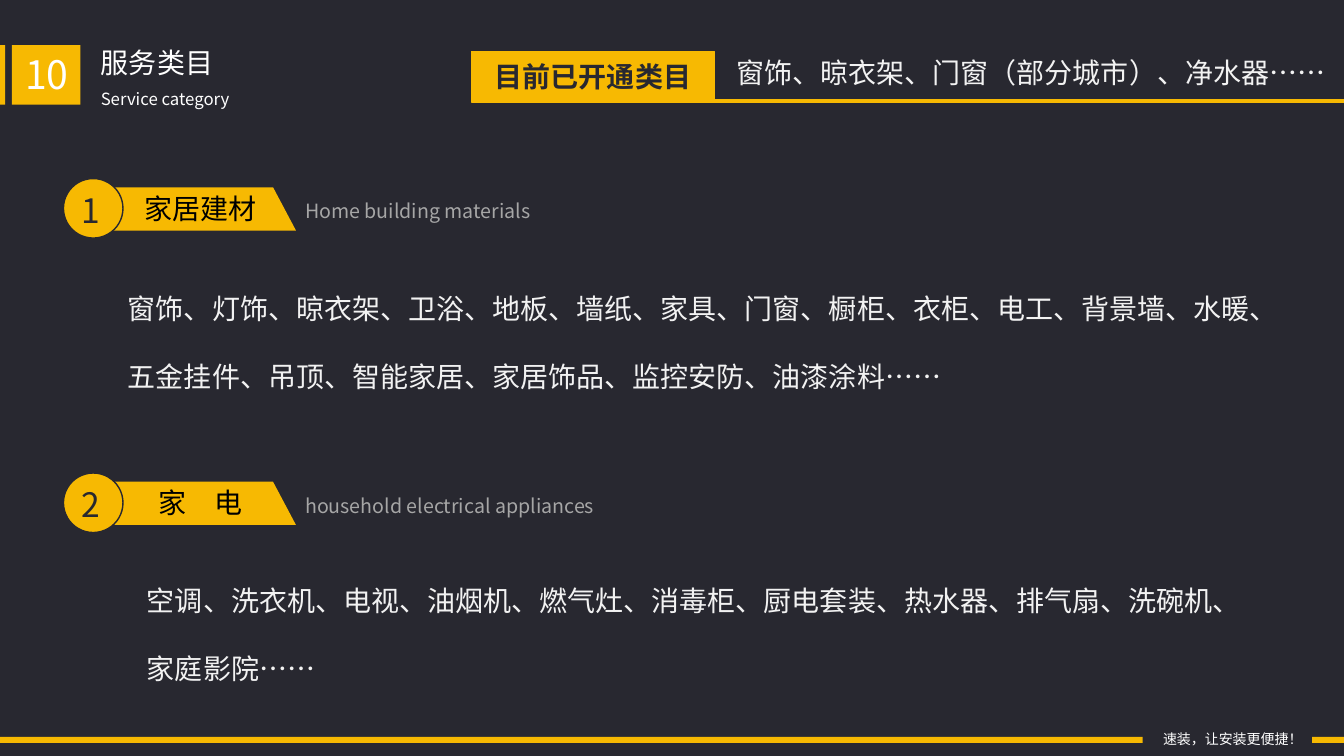
from lxml import etree
from pptx import Presentation
from pptx.dml.color import RGBColor
from pptx.enum.shapes import MSO_CONNECTOR, MSO_SHAPE
from pptx.enum.text import MSO_ANCHOR, MSO_AUTO_SIZE, PP_ALIGN
from pptx.oxml.ns import qn
from pptx.util import Cm, Pt

RECT, OVAL, TRAP = MSO_SHAPE.RECTANGLE, MSO_SHAPE.OVAL, MSO_SHAPE.TRAPEZOID
LINE = MSO_CONNECTOR.STRAIGHT
LEFT, MID, TOP = PP_ALIGN.LEFT, PP_ALIGN.CENTER, MSO_ANCHOR.TOP
FIXED = MSO_AUTO_SIZE.NONE

WIDE, HIGH = 33.87, 19.05
GOLD, DARK, WHITE = "F7B902", "282830", "FFFFFF"
PALE, GREY, BLACK = "F2F2F2", "A6A6A6", "000000"


def color(code):
    return RGBColor.from_string(code)


class Page:
    font = "Noto Sans CJK SC"

    def __init__(self, slide):
        self.slide = slide
        fill = slide.background.fill
        fill.solid()
        fill.fore_color.rgb = color(DARK)

    def label(self, shape, words, size, ink, align=LEFT, bold=False, space=None):
        frame = shape.text_frame
        frame.word_wrap = True
        frame.auto_size = FIXED
        frame.vertical_anchor = TOP
        para = frame.paragraphs[0]
        para.alignment = align
        if space:
            para.line_spacing = space
        run = para.add_run()
        run.text = words
        run.font.size = Pt(size)
        run.font.bold = bold
        run.font.color.rgb = color(ink)
        run.font.name = self.font
        east = etree.SubElement(run.font._element, qn("a:ea"))
        east.set("typeface", self.font)
        return para

    def text(self, box, words, size, ink, **style):
        shape = self.slide.shapes.add_textbox(*map(Cm, box))
        self.label(shape, words, size, ink, **style)

    def place(self, index, box, words, ink, **style):
        """Fill a placeholder with plain, unbulleted text."""
        shape = self.slide.placeholders[index]
        shape.left, shape.top, shape.width, shape.height = map(Cm, box)
        para = self.label(shape, words, 20, ink, **style)
        para.space_before = Pt(0)
        props = para._p.get_or_add_pPr()
        props.set("marL", "0")
        props.set("indent", "0")
        etree.SubElement(props, qn("a:buNone"))

    def shape(self, kind, box, edge=None):
        shape = self.slide.shapes.add_shape(kind, *map(Cm, box))
        shape.shadow.inherit = False
        shape.fill.solid()
        shape.fill.fore_color.rgb = color(GOLD)
        if edge:
            shape.line.color.rgb = color(edge)
            shape.line.width = Pt(1)
        else:
            shape.line.fill.background()
        return shape

    def rule(self, ends, width):
        line = self.slide.shapes.add_connector(LINE, *map(Cm, ends))
        line.line.color.rgb = color(GOLD)
        line.line.width = Pt(width)
        etree.SubElement(line._element.spPr, qn("a:effectLst"))

    def group(self, num, top, name, note, box, words):
        """A numbered ribbon with its list of goods."""
        self.place(num, box, words, PALE, space=2.0)
        band = self.shape(TRAP, (2.13, top + 0.22, 5.33, 1.09))
        band.adjustments[0] = 0.53
        self.text((3.28, top + 0.2, 3.56, 1.12), name, 20, BLACK, align=MID)
        self.shape(OVAL, (1.6, top, 1.5, 1.5), DARK)
        self.text((1.8, top + 0.16, 1.5, 1.27), str(num), 24, DARK)
        self.text((7.44, top + 0.39, 7.98, 0.86), note, 14, GREY)


def main():
    deck = Presentation()
    deck.slide_width, deck.slide_height = Cm(WIDE), Cm(HIGH)
    page = Page(deck.slides.add_slide(deck.slide_layouts[3]))

    # Footer
    for left, width in ((0, 28.8), (33.07, 0.8)):
        page.shape(RECT, (left, 18.57, width, 0.15))
    page.text((29.06, 18.29, 4.06, 0.69), "速装，让安装更便捷！", 10, WHITE)

    # Heading
    page.place(0, (2.29, 1.02, 10.06, 1.12), "服务类目", WHITE)
    page.text((2.29, 2.11, 9, 0.76), "Service category", 12, WHITE)
    for left, width in ((0, 0.13), (0.3, 1.73)):
        page.shape(RECT, (left, 1.14, width, 1.5))
    page.text((0.28, 1.14, 1.8, 1.45), "10", 28, WHITE, align=MID)

    # Open categories
    page.shape(RECT, (11.89, 1.3, 6.12, 1.27), GOLD)
    page.text((18.31, 1.27, 15.56, 1.12),
              "窗饰、晾衣架、门窗（部分城市）、净水器……", 20, PALE)
    page.rule((12.04, 2.54, WIDE, 2.54), 2.5)
    page.text((11.91, 1.37, 6.07, 1.12), "目前已开通类目", 20, DARK,
              align=MID, bold=True)

    # Groups of goods
    groups = (
        ("家居建材", "Home building materials", (2.97, 6.38, 29.44, 3.68),
         "窗饰、灯饰、晾衣架、卫浴、地板、墙纸、家具、门窗、橱柜、衣柜、电工、"
         "背景墙、水暖、五金挂件、吊顶、智能家居、家居饰品、监控安防、油漆涂料……"),
        ("家　电", "household electrical appliances", (3.45, 13.74, 28.58, 4.27),
         "空调、洗衣机、电视、油烟机、燃气灶、消毒柜、厨电套装、热水器、排气扇、"
         "洗碗机、家庭影院……"),
    )
    for num, data in enumerate(groups, 1):
        page.group(num, 4.5 + 7.42 * (num - 1), *data)

    deck.save("out.pptx")


if __name__ == "__main__":
    main()
